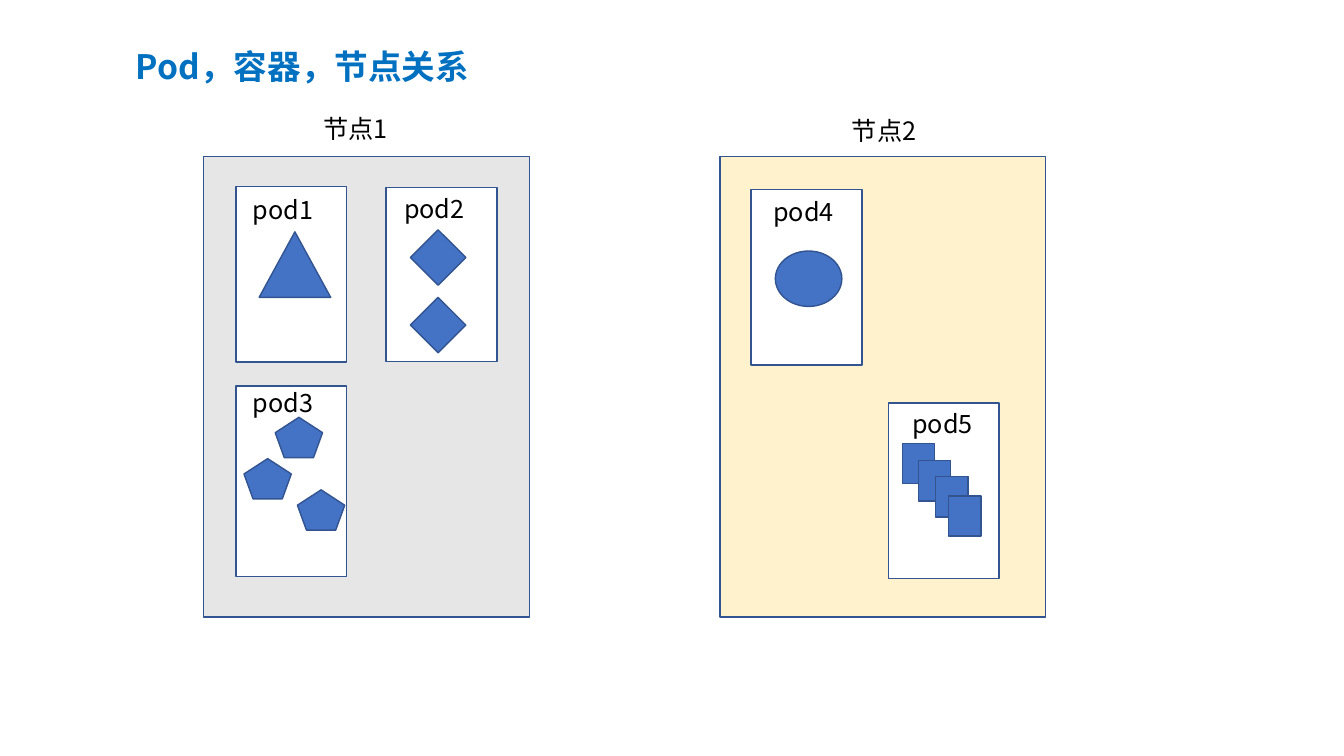
from dataclasses import dataclass

from lxml import etree
from pptx import Presentation
from pptx.dml.color import RGBColor
from pptx.enum import shapes, text
from pptx.oxml.ns import qn
from pptx.util import Inches, Pt

FONT = "Noto Sans CJK SC"
TITLE_BLUE = RGBColor(0x00, 0x70, 0xC0)
BLACK = RGBColor(0x00, 0x00, 0x00)
WHITE = RGBColor(0xFF, 0xFF, 0xFF)
GREY = RGBColor(0xE7, 0xE6, 0xE6)
CREAM = RGBColor(0xFF, 0xF2, 0xCC)
BLUE = RGBColor(0x44, 0x72, 0xC4)
OUTLINE = RGBColor(0x32, 0x54, 0x91)

KIND = shapes.MSO_SHAPE
NODE_SIZE = (3.23, 4.57)
POD_WIDTH = 1.1
LABEL_HEIGHT = 0.4


@dataclass
class Pod:
    """Offsets are inches: the pod's from its node, the rest from the pod."""
    name: str
    offset: tuple
    height: float
    label_offset: tuple
    label_width: float
    kind: int
    container_size: tuple
    container_offsets: list


NODE_1_PODS = [
    Pod("pod1", (0.32, 0.3), 1.74, (0.07, 0.03), 1.1,
        KIND.ISOSCELES_TRIANGLE, (0.71, 0.65), [(0.23, 0.45)]),
    Pod("pod2", (1.81, 0.31), 1.73, (0.08, 0.01), 1.1,
        KIND.DIAMOND, (0.55, 0.55), [(0.24, 0.42), (0.24, 1.09)]),
    Pod("pod3", (0.32, 2.28), 1.89, (0.07, -0.04), 1.1,
        KIND.REGULAR_PENTAGON, (0.47, 0.4),
        [(0.39, 0.31), (0.08, 0.72), (0.61, 1.03)]),
]
NODE_2_PODS = [
    Pod("pod4", (0.31, 0.33), 1.74, (0.12, 0.02), 0.87,
        KIND.OVAL, (0.66, 0.55), [(0.24, 0.61)]),
    Pod("pod5", (1.67, 2.45), 1.74, (0.14, 0), 0.87,
        KIND.RECTANGLE, (0.32, 0.4),
        [(0.14, 0.4), (0.3, 0.57), (0.47, 0.73), (0.6, 0.92)]),
]


def add_outlined(slide, kind, left, top, width, height, fill):
    s = slide.shapes.add_shape(kind, Inches(left), Inches(top),
                               Inches(width), Inches(height))
    s.shadow.inherit = False
    s.fill.solid()
    s.fill.fore_color.rgb = fill
    s.line.color.rgb = OUTLINE
    s.line.width = Pt(1)


def add_text(slide, words, left, top, width, height, size=18, color=BLACK, bold=False):
    box = slide.shapes.add_textbox(Inches(left), Inches(top),
                                   Inches(width), Inches(height))
    tf = box.text_frame
    tf.word_wrap = True
    tf.text = words
    r = tf.paragraphs[0].runs[0]
    r.font.name = FONT
    r.font.size = Pt(size)
    r.font.bold = bold
    r.font.color.rgb = color
    etree.SubElement(r.font._element, qn("a:ea"), typeface=FONT)
    return tf


def add_title(slide, left, top, width, height):
    tf = add_text(slide, "Pod，容器，节点关系", left, top, width, height,
                  size=24, color=TITLE_BLUE, bold=True)
    tf.vertical_anchor = text.MSO_ANCHOR.MIDDLE
    tf.paragraphs[0].line_spacing = 0.9


def add_pod(slide, pod, left, top):
    add_outlined(slide, KIND.RECTANGLE, left, top, POD_WIDTH, pod.height, WHITE)
    dx, dy = pod.label_offset
    add_text(slide, pod.name, left + dx, top + dy, pod.label_width, LABEL_HEIGHT)
    for dx, dy in pod.container_offsets:
        add_outlined(slide, pod.kind, left + dx, top + dy, *pod.container_size, BLUE)


def add_node(slide, name, left, top, fill, label_offset, pods):
    add_outlined(slide, KIND.RECTANGLE, left, top, *NODE_SIZE, fill)
    dx, dy = label_offset
    add_text(slide, name, left + dx, top + dy, 2.05, LABEL_HEIGHT)
    for pod in pods:
        dx, dy = pod.offset
        add_pod(slide, pod, left + dx, top + dy)


def main():
    prs = Presentation()
    prs.slide_width, prs.slide_height = Inches(13.33), Inches(7.5)
    slide = prs.slides.add_slide(prs.slide_layouts[6])
    add_title(slide, 1.25, 0.38, 11.48, 0.61)
    add_node(slide, "节点1", 2.02, 1.55, GREY, (1.09, -0.47), NODE_1_PODS)
    add_node(slide, "节点2", 7.14, 1.55, CREAM, (1.21, -0.46), NODE_2_PODS)
    prs.save("out.pptx")


if __name__ == "__main__":
    main()
